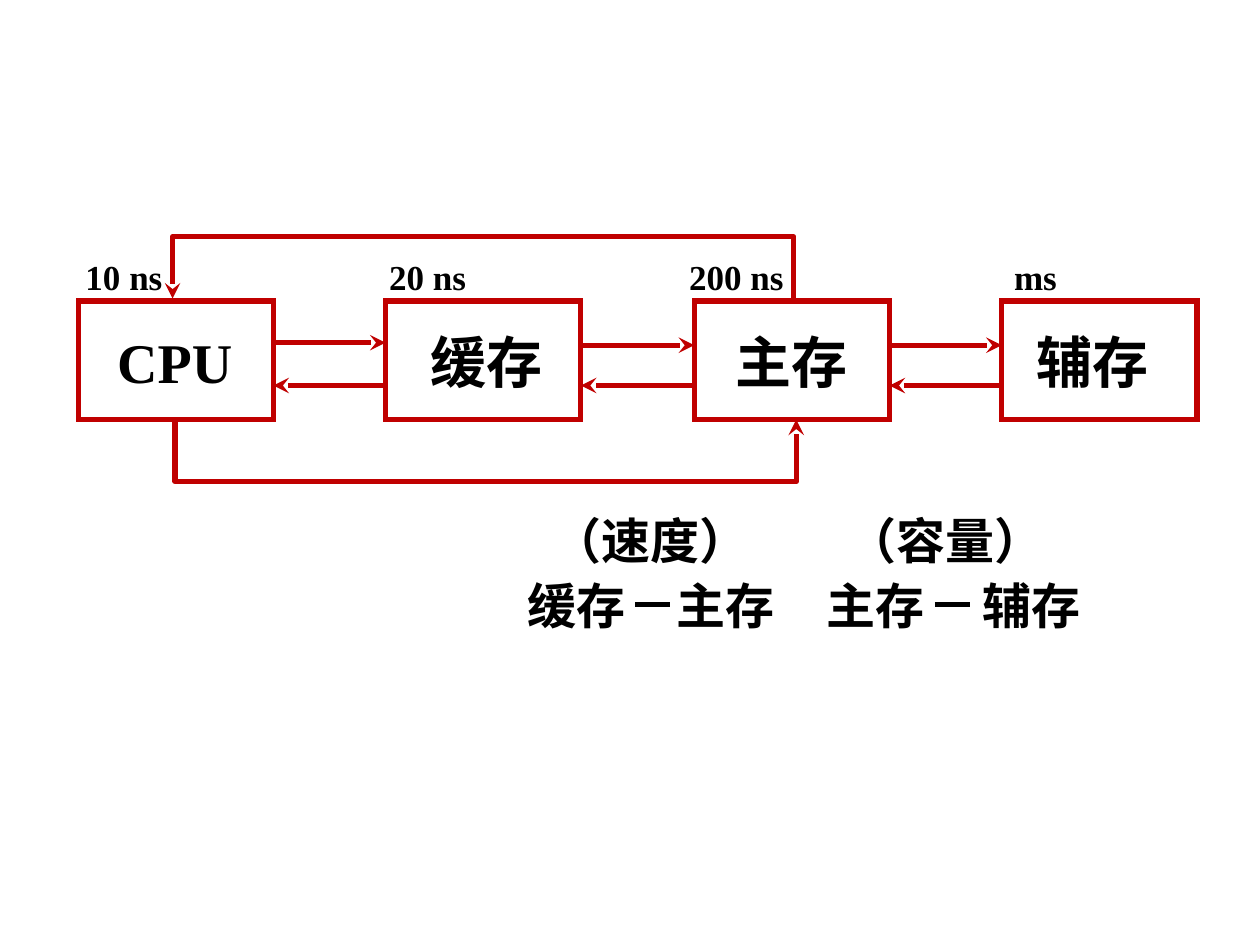
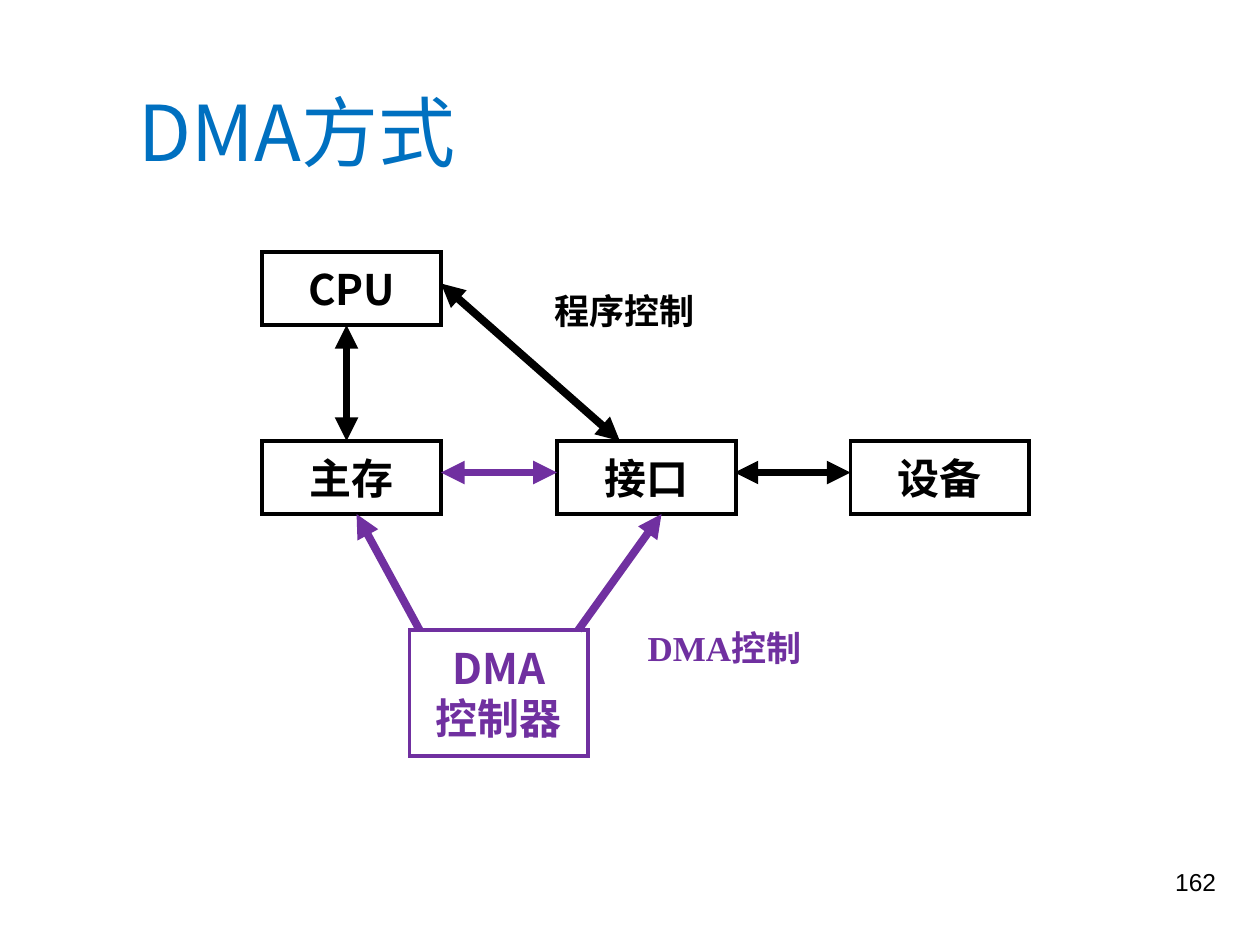
"""Builds two slides: the memory hierarchy and the DMA data paths."""
import dataclasses

import lxml.etree
import pptx
import pptx.dml.color
import pptx.enum.shapes
import pptx.enum.text
import pptx.oxml.ns
import pptx.util

PX = 9144
ALIGN = pptx.enum.text.PP_ALIGN
ANCHOR = pptx.enum.text.MSO_ANCHOR


@dataclasses.dataclass(frozen=True)
class Theme:
    black: str = "000000"
    red: str = "C00000"
    blue: str = "0070C0"
    purple: str = "7030A0"
    serif: str = "Times New Roman"
    sans: str = "Noto Sans CJK SC"
    plain: str = "Arial"
    title: int = 44
    level: int = 32
    pair: int = 28
    block: int = 24
    label: int = 20
    number: int = 14
    level_line: float = 3
    block_line: float = 2.25
    path_line: float = 4.5


THEME = Theme()

# name, name indent, access time, time left, time width
LEVELS = [
    ("CPU", 31, "10 ns", 58, 81),
    ("缓存", 36, "20 ns", 299, 81),
    ("主存", 33, "200 ns", 537, 95),
    ("辅存", 28, "ms", 795, 54),
]
LEVEL_LEFT, LEVEL_TOP, LEVEL_WIDTH, LEVEL_HEIGHT = 62, 239, 155, 94
LEVEL_SPAN = 733
FORWARD_Y, BACK_Y = (272, 274, 274), 306
BYPASSES = [
    [(139, 333), (139, 382), (632, 382), (632, 333)],
    [(630, 239), (630, 188), (137, 188), (137, 237)],
]
# heading, heading left, first name, its left, second name, its left, dash left
PAIRS = [
    ("（速度）", 429, "缓存", 409, "主存", 527, 504),
    ("（容量）", 663, "主存", 646, "辅存", 770, 742),
]

DMA_TITLE = "DMA方式"
BLOCKS = [
    ("CPU", 208, 200, 58, THEME.black),
    ("主存", 208, 350, 58, THEME.black),
    ("接口", 442, 350, 58, THEME.black),
    ("设备", 675, 350, 58, THEME.black),
    ("DMA\n控制器", 325, 500, 100, THEME.purple),
]
BLOCK_WIDTH = 142
# start, end, colour, arrowhead at the start
PATHS = [
    ((583, 375), (675, 375), THEME.black, True),
    ((350, 225), (492, 350), THEME.black, True),
    ((275, 258), (275, 350), THEME.black, True),
    ((442, 375), (350, 375), THEME.purple, True),
    ((333, 500), (283, 408), THEME.purple, False),
    ((459, 500), (525, 408), THEME.purple, False),
]
PATH_LABELS = [
    ("程序控制", (417, 225, 158, 43), THEME.black),
    ("DMA控制", (500, 492, 150, 43), THEME.purple),
]
PAGE_NUMBER = "162"


def scaled(lengths):
    return [round(length * PX) for length in lengths]


def add_xml(parent, tag, **attributes):
    return lxml.etree.SubElement(parent, pptx.oxml.ns.qn(tag), attributes)


def style_text(frame, size, font, color, align=ALIGN.LEFT):
    for para in frame.paragraphs:
        para.alignment = align
        for span in para.runs:
            span.font.size = pptx.util.Pt(size)
            span.font.bold = True
            span.font.name = font
            span.font.color.rgb = pptx.dml.color.RGBColor.from_string(color)
            add_xml(span.font._element, "a:ea", typeface=THEME.sans)


def style_line(shape, color, width):
    shape.line.color.rgb = pptx.dml.color.RGBColor.from_string(color)
    shape.line.width = pptx.util.Pt(width)
    return shape._element.spPr.find(pptx.oxml.ns.qn("a:ln"))


def add_label(page, text, place, size, font=THEME.serif, color=THEME.black, align=ALIGN.LEFT):
    box = page.shapes.add_textbox(*scaled(place))
    box.text_frame.word_wrap = align != ALIGN.LEFT
    box.text_frame.text = text
    style_text(box.text_frame, size, font, color, align)
    return box


def add_box(page, text, place, color, width):
    box = page.shapes.add_shape(pptx.enum.shapes.MSO_SHAPE.RECTANGLE, *scaled(place))
    box.shadow.inherit = False
    box.fill.background()
    add_xml(style_line(box, color, width), "a:miter", lim="800000")
    box.text_frame.word_wrap = False
    box.text_frame.text = text
    return box


def add_line(page, start, end, color, width, head=None, tail=None):
    line = page.shapes.add_connector(
        pptx.enum.shapes.MSO_CONNECTOR.STRAIGHT, *scaled(start + end))
    outline = style_line(line, color, width)
    for tag, kind in (("a:headEnd", head), ("a:tailEnd", tail)):
        if kind:
            add_xml(outline, tag, type=kind)
    add_xml(line._element.spPr, "a:effectLst")


def add_bypass(page, points):
    builder = page.shapes.build_freeform(*points[0], scale=PX)
    builder.add_line_segments(points[1:], close=False)
    bypass = builder.convert_to_shape()
    bypass.shadow.inherit = False
    bypass.fill.background()
    outline = style_line(bypass, THEME.red, THEME.level_line)
    add_xml(outline, "a:round")
    add_xml(outline, "a:tailEnd", type="stealth")


def build_hierarchy(deck):
    page = deck.slides.add_slide(deck.slide_layouts[6])
    lefts = [LEVEL_LEFT + round(i * LEVEL_SPAN / 3) for i in range(len(LEVELS))]
    for left, (name, indent, time, time_left, time_width) in zip(lefts, LEVELS):
        box = add_box(page, name, (left, LEVEL_TOP, LEVEL_WIDTH, LEVEL_HEIGHT),
                      THEME.red, THEME.level_line)
        frame = box.text_frame
        frame.word_wrap = True
        frame.vertical_anchor = ANCHOR.TOP
        frame.margin_left, frame.margin_top, frame.margin_right = scaled((indent, 21, 0))
        style_text(frame, THEME.level, THEME.serif, THEME.black)
        add_label(page, time, (time_left, 198, time_width, 43), THEME.label)
    for left, following, forward_y in zip(lefts, lefts[1:], FORWARD_Y):
        right = left + LEVEL_WIDTH
        for start, end in (((right, forward_y), (following, forward_y)),
                           ((following, BACK_Y), (right, BACK_Y))):
            add_line(page, start, end, THEME.red, THEME.level_line, tail="stealth")
    for points in BYPASSES:
        add_bypass(page, points)
    for heading, heading_left, first, first_left, second, second_left, dash_left in PAIRS:
        add_label(page, heading, (heading_left, 400, 176, 57), THEME.pair)
        for name, left in ((first, first_left), (second, second_left)):
            add_label(page, name, (left, 452, 98, 57), THEME.pair)
        add_line(page, (dash_left, 480), (dash_left + 28, 480), THEME.black, THEME.level_line)


def build_dma(deck):
    page = deck.slides.add_slide(deck.slide_layouts[5])
    title = page.shapes.title
    title.left, title.top, title.width, title.height = scaled((100, 58, 817, 92))
    title.text_frame.text = DMA_TITLE
    title.text_frame.vertical_anchor = ANCHOR.MIDDLE
    style_text(title.text_frame, THEME.title, THEME.sans, THEME.blue)
    title.text_frame.paragraphs[0].runs[0].font.bold = False
    for name, left, top, height, color in BLOCKS:
        box = add_box(page, name, (left, top, BLOCK_WIDTH, height), color, THEME.block_line)
        box.text_frame.vertical_anchor = ANCHOR.MIDDLE
        style_text(box.text_frame, THEME.block, THEME.sans, color, ALIGN.CENTER)
    for start, end, color, both in PATHS:
        add_line(page, start, end, color, THEME.path_line,
                 head="triangle" if both else None, tail="triangle")
    for text, place, color in PATH_LABELS:
        add_label(page, text, place, THEME.label, color=color, align=ALIGN.CENTER)
    number = add_label(page, PAGE_NUMBER, (767, 683, 208, 50), THEME.number,
                       THEME.plain, align=ALIGN.RIGHT)
    number.text_frame.paragraphs[0].runs[0].font.bold = False


def main():
    deck = pptx.Presentation()
    deck.slide_width, deck.slide_height = scaled((1000, 750))
    build_hierarchy(deck)
    build_dma(deck)
    deck.save("out.pptx")


if __name__ == "__main__":
    main()
